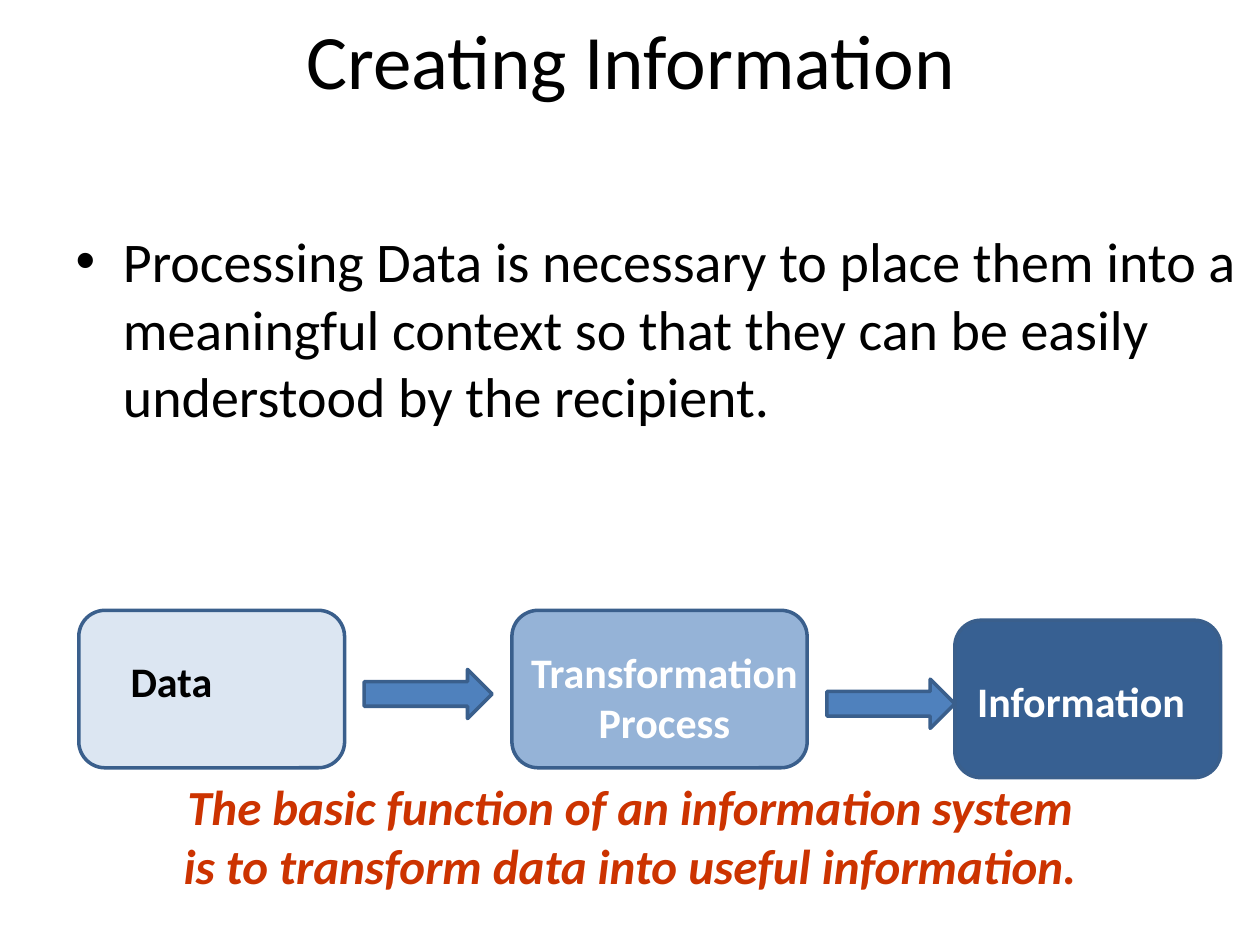
"""Build the Creating Information slide."""
from dataclasses import dataclass

import pptx
import pptx.dml.color
import pptx.enum.shapes
import pptx.enum.text
import pptx.util

Pt = pptx.util.Pt
Shape = pptx.enum.shapes.MSO_SHAPE
Align = pptx.enum.text.PP_ALIGN
Anchor = pptx.enum.text.MSO_ANCHOR

COLORS = {
    "black": "000000", "white": "FFFFFF", "red": "CC3300", "outline": "3A5F8C",
    "pale": "DCE6F2", "light": "95B3D7", "dark": "376092", "arrow": "4F81BD",
}


@dataclass
class Block:
    kind: Shape
    left: float
    top: float
    width: float
    height: float
    fill: str


@dataclass
class Label:
    text: str
    left: float
    top: float
    width: float
    height: float
    color: str
    align: Align = Align.LEFT
    size: float = 24
    italic: bool = False


BLOCKS = [
    Block(Shape.ROUNDED_RECTANGLE, 45, 348.75, 151.9, 90, "pale"),
    Block(Shape.ROUNDED_RECTANGLE, 292.5, 348.75, 168.75, 90, "light"),
    Block(Shape.ROUNDED_RECTANGLE, 545.6, 354.4, 151.9, 90, "dark"),
    Block(Shape.RIGHT_ARROW, 208.1, 382.5, 73.1, 28.1, "arrow"),
    Block(Shape.RIGHT_ARROW, 472.5, 388.1, 73.1, 28.1, "arrow"),
]

LABELS = [
    Label("Data", 67.5, 371.25, 112.5, 36.4, "black"),
    Label("Transformation Process", 281.25, 365.6, 196.9, 65.4, "white", Align.CENTER),
    Label("Information", 551.25, 382.5, 146.25, 36.4, "white"),
    Label("The basic function of an information system\v"
          "is to transform data into useful information.",
          0, 440, 720, 75.1, "red", Align.CENTER, 28, True),
]


def rgb(name: str) -> pptx.dml.color.RGBColor:
    return pptx.dml.color.RGBColor.from_string(COLORS[name])


def fill_placeholder(box, text: str, size: float, place: tuple) -> None:
    box.left, box.top, box.width, box.height = map(Pt, place)
    box.text_frame.text = text
    para = box.text_frame.paragraphs[0]
    para.font.size = Pt(size)
    para.font.name = "Calibri"
    para.font.color.rgb = rgb("black")


def draw_block(page, block: Block) -> None:
    shape = page.shapes.add_shape(
        block.kind, Pt(block.left), Pt(block.top), Pt(block.width), Pt(block.height))
    shape.shadow.inherit = False
    shape.fill.solid()
    shape.fill.fore_color.rgb = rgb(block.fill)
    shape.line.color.rgb = rgb("outline")
    shape.line.width = Pt(2)


def draw_label(page, label: Label) -> None:
    box = page.shapes.add_textbox(
        Pt(label.left), Pt(label.top), Pt(label.width), Pt(label.height))
    frame = box.text_frame
    frame.word_wrap = True
    frame.auto_size = pptx.enum.text.MSO_AUTO_SIZE.SHAPE_TO_FIT_TEXT
    frame.text = label.text
    para = frame.paragraphs[0]
    para.alignment = label.align
    para.font.name = "Calibri"
    para.font.size = Pt(label.size)
    para.font.bold = True
    para.font.italic = label.italic
    para.font.color.rgb = rgb(label.color)


def main() -> None:
    deck = pptx.Presentation()
    deck.slide_width, deck.slide_height = Pt(720), Pt(540)
    page = deck.slides.add_slide(deck.slide_layouts[1])
    title, body = page.placeholders
    fill_placeholder(title, "Creating Information", 44, (36.5, 0, 648, 67))
    title.text_frame.vertical_anchor = Anchor.MIDDLE
    title.text_frame.paragraphs[0].alignment = Align.CENTER
    fill_placeholder(
        body, "Processing Data is necessary to place them into a meaningful context "
        "so that they can be easily understood by the recipient.",
        32, (36, 126, 684, 324))
    for block in BLOCKS:
        draw_block(page, block)
    for label in LABELS:
        draw_label(page, label)
    deck.save("out.pptx")


main()
